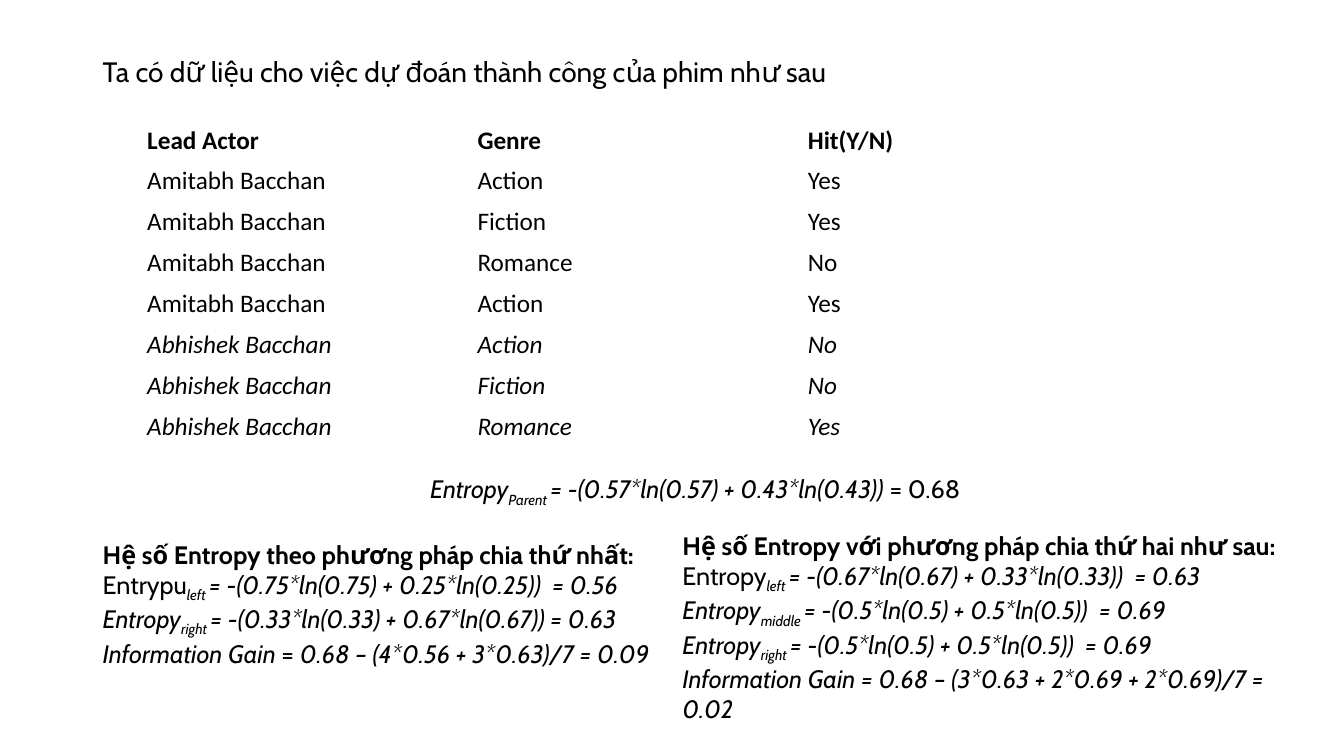
from lxml.etree import SubElement
from pptx import Presentation
from pptx.dml.color import RGBColor
from pptx.enum.text import MSO_ANCHOR, MSO_AUTO_SIZE, PP_ALIGN
from pptx.oxml.ns import qn
from pptx.util import Inches, Pt

BLACK = RGBColor(0x00, 0x00, 0x00)
WHITE = RGBColor(0xFF, 0xFF, 0xFF)

FILMS = [
    ("Lead Actor", "Genre", "Hit(Y/N)"),
    ("Amitabh Bacchan", "Action", "Yes"),
    ("Amitabh Bacchan", "Fiction", "Yes"),
    ("Amitabh Bacchan", "Romance", "No"),
    ("Amitabh Bacchan", "Action", "Yes"),
    ("Abhishek Bacchan", "Action", "No"),
    ("Abhishek Bacchan", "Fiction", "No"),
    ("Abhishek Bacchan", "Romance", "Yes"),
]
FIRST_ITALIC_ROW = 5


def add_run(paragraph, text, size=18, font="Cabin", bold=False, italic=False, subscript=False):
    run = paragraph.add_run()
    run.text = text
    run.font.size = Pt(size)
    run.font.name = font
    run.font.bold = bold
    run.font.italic = italic
    run.font.color.rgb = BLACK
    if subscript:
        run.font._element.set("baseline", "-25000")


def add_entropy(paragraph, node, formula, name="Entropy", name_italic=True):
    add_run(paragraph, name, italic=name_italic)
    add_run(paragraph, node + " ", italic=True, subscript=True)
    add_run(paragraph, formula, italic=True)


def add_text_box(slide, left, top, width, height):
    shape = slide.shapes.add_textbox(Inches(left), Inches(top), Inches(width), Inches(height))
    frame = shape.text_frame
    frame.word_wrap = True
    frame.auto_size = MSO_AUTO_SIZE.SHAPE_TO_FIT_TEXT
    return frame


def set_borders(cell):
    properties = cell._tc.get_or_add_tcPr()
    for position, side in enumerate(("a:lnL", "a:lnR", "a:lnT", "a:lnB")):
        line = SubElement(properties, qn(side), w=str(Pt(0.6)))
        fill = SubElement(line, qn("a:solidFill"))
        SubElement(fill, qn("a:srgbClr"), val=str(WHITE))
        properties.insert(position, line)


def add_film_table(slide):
    shape = slide.shapes.add_table(
        len(FILMS), len(FILMS[0]), Inches(1.36), Inches(1.19), Inches(9.83), Inches(3.2))
    table = shape.table
    table.first_row = False
    table.horz_banding = False
    for row, values in enumerate(FILMS):
        for column, value in enumerate(values):
            cell = table.cell(row, column)
            cell.vertical_anchor = MSO_ANCHOR.MIDDLE
            cell.fill.background()
            set_borders(cell)
            add_run(cell.text_frame.paragraphs[0], value, font="Calibri",
                    bold=row == 0, italic=row >= FIRST_ITALIC_ROW)


def add_first_split(slide):
    frame = add_text_box(slide, 0.92, 4.65, 11.95, 2.22)
    parent = frame.paragraphs[0]
    parent.alignment = PP_ALIGN.CENTER
    parent.space_after = Pt(22)
    add_entropy(parent, "Parent", "= -(0.57*ln(0.57) + 0.43*ln(0.43))")
    add_run(parent, " = 0.68")

    add_run(frame.add_paragraph(), "Hệ số Entropy theo phương pháp chia thứ nhất:", bold=True)
    entropies = frame.add_paragraph()
    add_entropy(entropies, "left", "= -(0.75*ln(0.75) + 0.25*ln(0.25))  = 0.56",
                name="Entrypu", name_italic=False)
    entropies.add_line_break()
    add_entropy(entropies, "right", "= -(0.33*ln(0.33) + 0.67*ln(0.67)) = 0.63")

    gain = frame.add_paragraph()
    add_run(gain, "Information Gain", italic=True)
    add_run(gain, " = ")
    add_run(gain, "0.68 – (4*0.56 + 3*0.63)/7 = 0.09", italic=True)


def add_second_split(slide):
    frame = add_text_box(slide, 6.67, 5.21, 6.44, 1.92)
    add_run(frame.paragraphs[0], "Hệ số Entropy với phương pháp chia thứ hai như sau:", bold=True)
    entropies = frame.add_paragraph()
    add_entropy(entropies, "left", "= -(0.67*ln(0.67) + 0.33*ln(0.33))  = 0.63", name_italic=False)
    for node in ("middle", "right"):
        entropies.add_line_break()
        add_entropy(entropies, node, "= -(0.5*ln(0.5) + 0.5*ln(0.5))  = 0.69")
    add_run(frame.add_paragraph(),
            "Information Gain = 0.68 – (3*0.63 + 2*0.69 + 2*0.69)/7 = 0.02", italic=True)


def main():
    presentation = Presentation()
    presentation.slide_width = Inches(13.33)
    presentation.slide_height = Inches(7.5)
    slide = presentation.slides.add_slide(presentation.slide_layouts[6])
    add_film_table(slide)
    title = add_text_box(slide, 0.92, 0.49, 9.83, 0.44)
    add_run(title.paragraphs[0], "Ta có dữ liệu cho việc dự đoán thành công của phim như sau", size=20)
    add_first_split(slide)
    add_second_split(slide)
    presentation.save("out.pptx")


if __name__ == "__main__":
    main()
